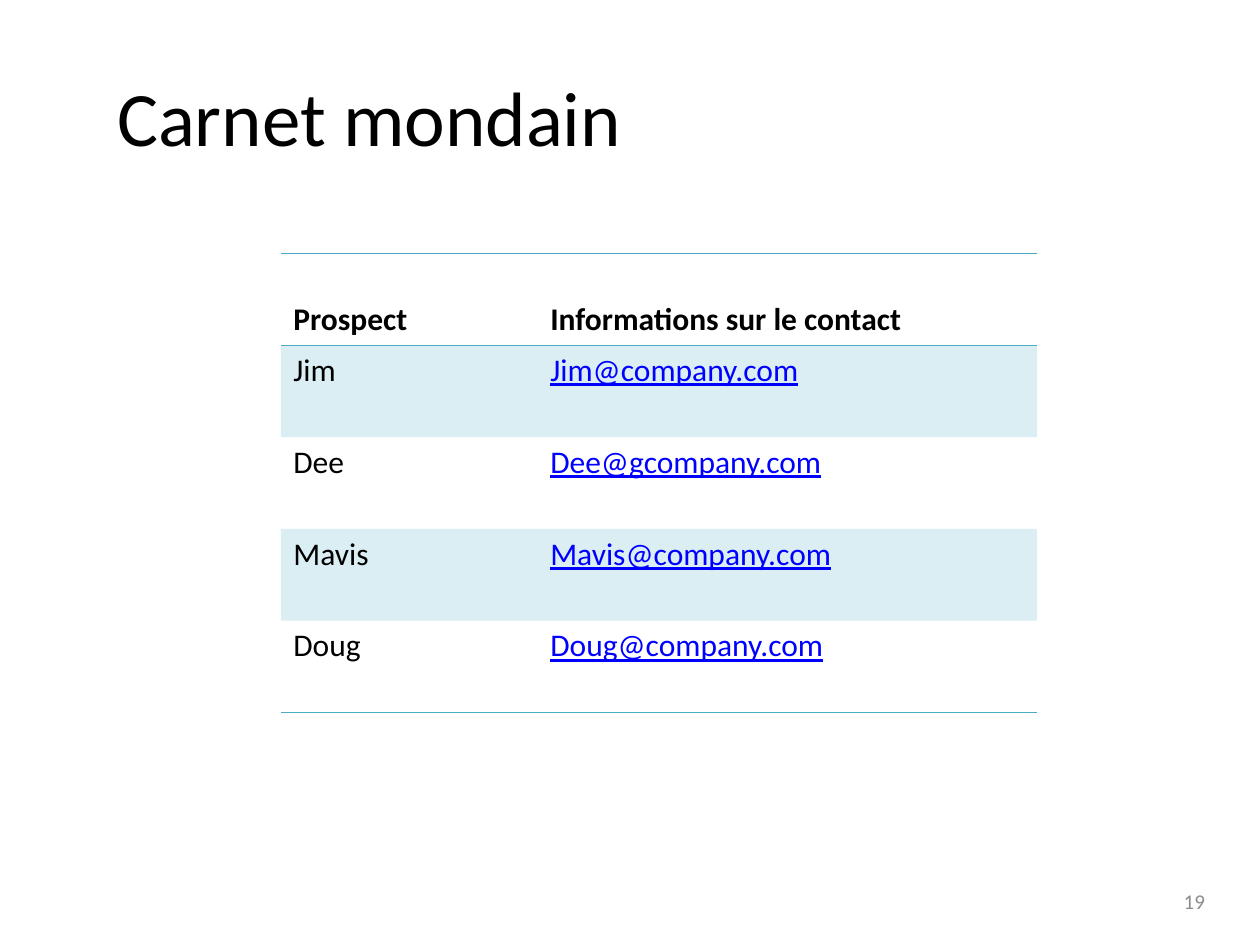
from typing import NamedTuple

from lxml.etree import SubElement
from pptx import Presentation
from pptx.dml.color import RGBColor
from pptx.enum.text import MSO_ANCHOR, PP_ALIGN
from pptx.oxml.ns import qn
from pptx.util import Cm, Pt

FONT = "Calibri"
HEX = {"text": "000000", "link": "0000FF", "teal": "4BACC6", "page": "8C8C8C"}
PLAIN = "{2D5ABB26-0587-4C30-8999-92F81FD0307C}"  # table style without lines or fills


class Label(NamedTuple):
    text: str
    box: tuple[float, float, float, float]
    size: int
    tint: str
    align: PP_ALIGN


class Contact(NamedTuple):
    name: str
    mail: str


LABELS = [
    Label("Carnet mondain", (2.11, 0.74, 22.43, 3.18), 44, "text", PP_ALIGN.LEFT),
    Label("19", (18.62, 17.65, 5.92, 1.02), 12, "page", PP_ALIGN.RIGHT),
]
HEAD = Contact("Prospect", "Informations sur le contact")
PEOPLE = [
    Contact("Jim", "Jim@company.com"),
    Contact("Dee", "Dee@gcompany.com"),
    Contact("Mavis", "Mavis@company.com"),
    Contact("Doug", "Doug@company.com"),
]
WIDTHS = (5.18, 10.06)
ROW = 1.85


def style(para, size: int, tint: str) -> None:
    font = para.font
    font.name, font.size = FONT, Pt(size)
    font.color.rgb = RGBColor.from_string(HEX[tint])


def add_label(slide, label: Label) -> None:
    frame = slide.shapes.add_textbox(*map(Cm, label.box)).text_frame
    frame.word_wrap = True
    frame.vertical_anchor = MSO_ANCHOR.MIDDLE
    frame.text = label.text
    para = frame.paragraphs[0]
    para.alignment = label.align
    style(para, label.size, label.tint)


def add_rule(cell, side: str) -> None:
    line = SubElement(cell._tc.get_or_add_tcPr(), qn(f"a:ln{side}"), w=str(Pt(1)))
    fill = SubElement(line, qn("a:solidFill"))
    SubElement(fill, qn("a:srgbClr"), val=HEX["teal"])


def add_band(cell) -> None:
    cell.fill.solid()
    cell.fill.fore_color.rgb = RGBColor.from_string(HEX["teal"])
    tone = cell._tc.tcPr.find(f"{qn('a:solidFill')}/{qn('a:srgbClr')}")
    SubElement(tone, qn("a:alpha"), val="20000")


def add_contacts(slide) -> None:
    rows = [HEAD, *PEOPLE]
    table = slide.shapes.add_table(
        len(rows), len(WIDTHS), Cm(5.66), Cm(5.11), Cm(sum(WIDTHS)), Cm(ROW * len(rows))
    ).table
    table._tbl.tblPr.find(qn("a:tableStyleId")).text = PLAIN
    table.horz_banding = False
    for col, width in zip(table.columns, WIDTHS):
        col.width = Cm(width)
    for r, row in enumerate(rows):
        table.rows[r].height = Cm(ROW)
        for c, text in enumerate(row):
            cell = table.cell(r, c)
            cell.text = text
            para = cell.text_frame.paragraphs[0]
            link = r > 0 and c == 1
            style(para, 18, "link" if link else "text")
            para.font.bold = r == 0
            para.font.underline = link
            cell.vertical_anchor = MSO_ANCHOR.TOP if r else MSO_ANCHOR.BOTTOM
            # Rules frame the header and close the table
            if r == 0:
                add_rule(cell, "T")
            if r in (0, len(rows) - 1):
                add_rule(cell, "B")
            # Every other contact is shaded
            if r % 2:
                add_band(cell)
            else:
                cell.fill.background()


def main() -> None:
    deck = Presentation()
    deck.slide_width, deck.slide_height = Cm(25.4), Cm(19.05)
    slide = deck.slides.add_slide(deck.slide_layouts[6])
    # Title and page number
    for label in LABELS:
        add_label(slide, label)
    # Contact table
    add_contacts(slide)
    deck.save("out.pptx")


if __name__ == "__main__":
    main()
